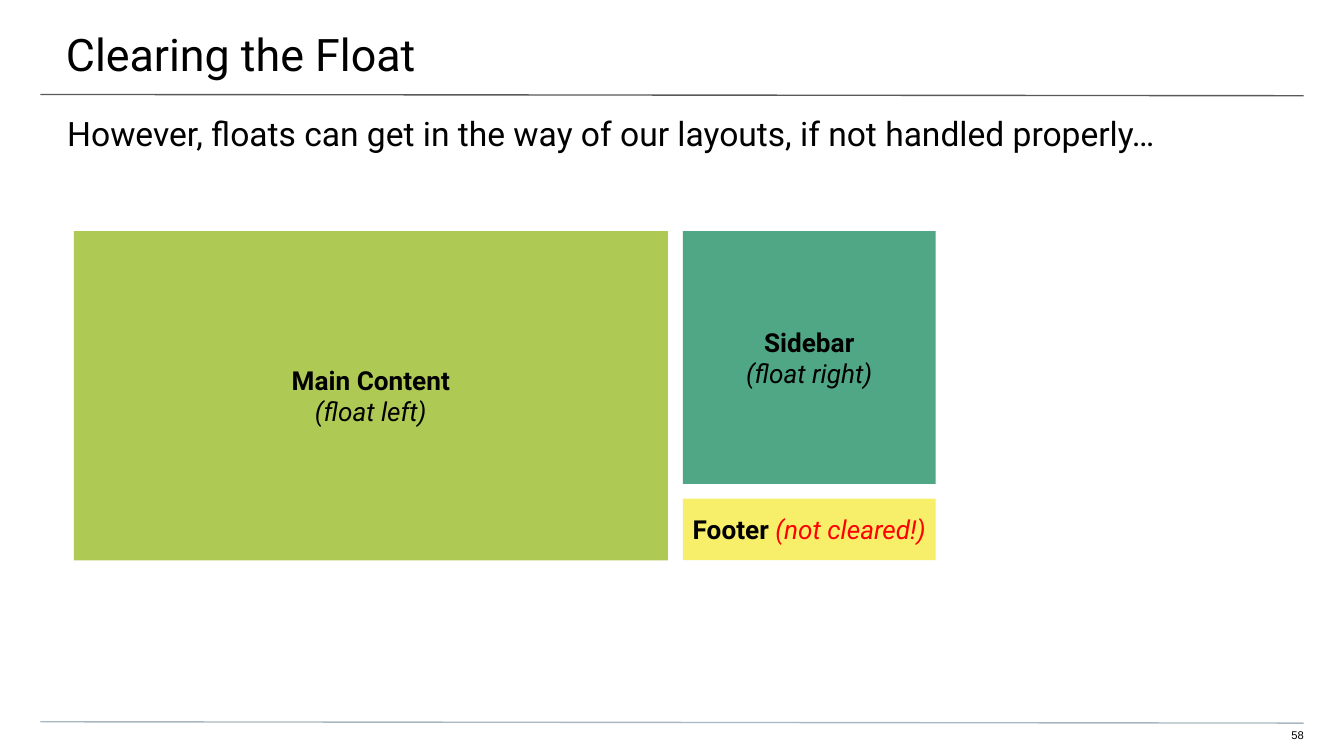
from pptx import Presentation
from pptx.dml.color import RGBColor
from pptx.enum import shapes, text
from pptx.util import Pt
from lxml import etree

DRAWING_NS = "http://schemas.openxmlformats.org/drawingml/2006/main"


def rgb(code):
    return RGBColor.from_string(code)


def write(frame, paragraphs, size=14, font="Roboto", align=text.PP_ALIGN.LEFT,
          anchor=text.MSO_ANCHOR.TOP, insets=(0, 0, 0, 0)):
    frame.word_wrap = True
    frame.vertical_anchor = anchor
    (frame.margin_left, frame.margin_top,
     frame.margin_right, frame.margin_bottom) = map(Pt, insets)
    for index, pieces in enumerate(paragraphs):
        paragraph = frame.add_paragraph() if index else frame.paragraphs[0]
        paragraph.alignment = align
        for words, style in pieces:
            run = paragraph.add_run()
            run.text = words
            run.font.name = font
            run.font.size = Pt(size)
            run.font.bold = style.get("bold", False)
            run.font.italic = style.get("italic", False)
            run.font.color.rgb = rgb(style.get("color", "000000"))


class SlideWriter:
    bold = {"bold": True}
    italic = {"italic": True}
    warning = {"italic": True, "color": "FF0000"}

    def __init__(self, slide):
        self.slide = slide

    def label(self, box, words, **form):
        area = self.slide.shapes.add_textbox(*map(Pt, box))
        write(area.text_frame, [[(words, {})]], **form)

    def rule(self, top, color):
        line = self.slide.shapes.add_connector(
            shapes.MSO_CONNECTOR.STRAIGHT, Pt(21.6), Pt(top), Pt(698.4), Pt(top + 0.7))
        line.line.color.rgb = rgb(color)
        line.line.width = Pt(0.75)
        etree.SubElement(line._element.spPr, f"{{{DRAWING_NS}}}effectLst")

    def block(self, box, fill, paragraphs):
        region = self.slide.shapes.add_shape(shapes.MSO_SHAPE.RECTANGLE, *map(Pt, box))
        region.shadow.inherit = False
        region.fill.solid()
        region.fill.fore_color.rgb = rgb(fill)
        region.line.fill.background()
        write(region.text_frame, paragraphs, align=text.PP_ALIGN.CENTER,
              anchor=text.MSO_ANCHOR.MIDDLE)


def main():
    deck = Presentation()
    deck.slide_width, deck.slide_height = Pt(720), Pt(405)
    page = SlideWriter(deck.slides.add_slide(deck.slide_layouts[6]))

    page.label((677.5, 390.2, 20.9, 8.6), "58", size=6, font="Arial",
               align=text.PP_ALIGN.RIGHT, insets=(0, 0, 0, 7.2))
    page.rule(50.6, "595959")
    page.rule(386.7, "A9B7C0")
    page.label((-0.7, 0, 722, 41.8), "Clearing the Float", size=24,
               insets=(36, 14.4, 21.6, 7.2))
    page.label((0, 53.3, 720, 28.8),
               "However, floats can get in the way of our layouts, if not handled properly…",
               size=18, insets=(36, 7.2, 36, 0))

    left, top, gap = 39.6, 123.8, 8
    main_width, main_height, sidebar = 318.2, 176.4, 135.4
    side_left = left + main_width + gap
    footer_top = top + sidebar + gap
    page.block((left, top, main_width, main_height), "AFCA54",
               [[("Main Content", page.bold)], [("(float left)", page.italic)]])
    page.block((side_left, footer_top, sidebar, top + main_height - footer_top), "F7EF6A",
               [[("Footer ", page.bold), ("(not cleared!)", page.warning)]])
    page.block((side_left, top, sidebar, sidebar), "4FA786",
               [[("Sidebar", page.bold)], [("(float right)", page.italic)]])

    deck.save("out.pptx")


if __name__ == "__main__":
    main()
